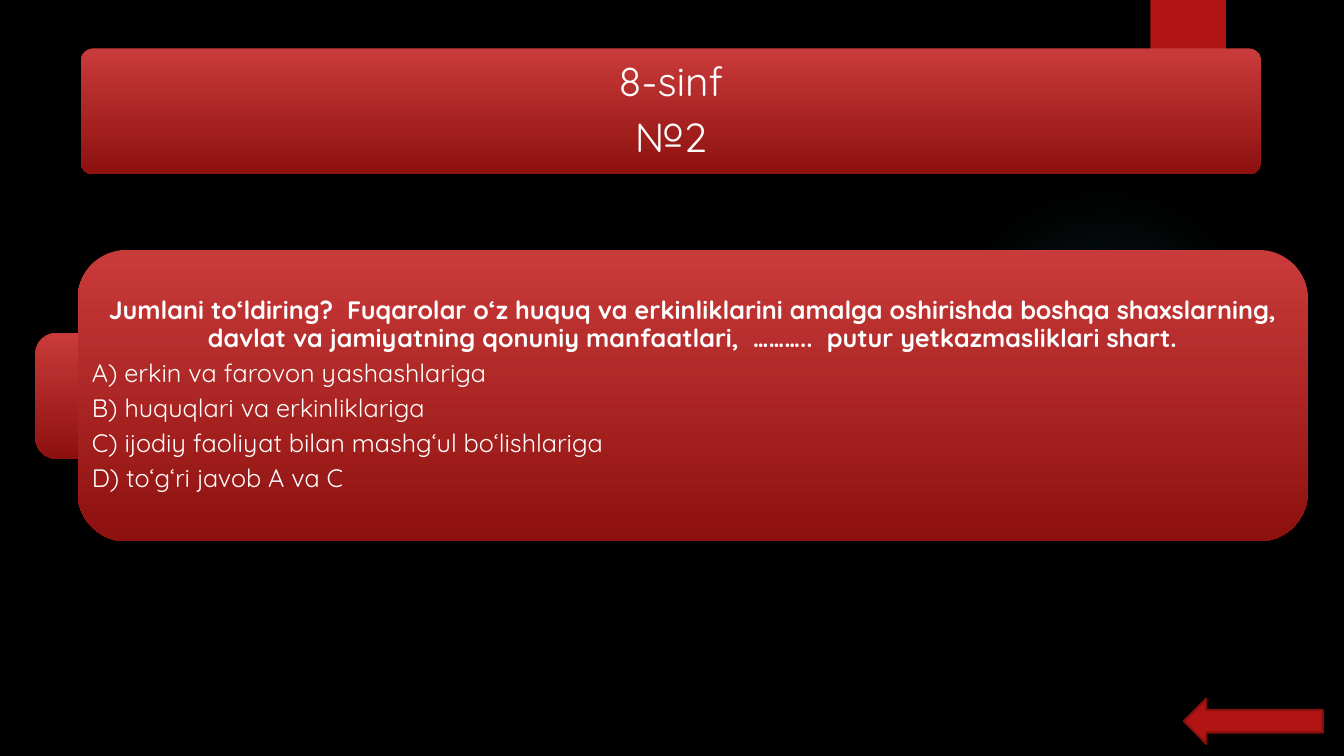
from lxml import etree
from pptx import Presentation
from pptx.dml.color import RGBColor
from pptx.enum.shapes import MSO_SHAPE
from pptx.enum.text import MSO_ANCHOR, PP_ALIGN
from pptx.oxml import parse_xml
from pptx.oxml.ns import nsdecls, qn
from pptx.util import Inches, Pt

ROUNDED, RECT = MSO_SHAPE.ROUNDED_RECTANGLE, MSO_SHAPE.RECTANGLE
OVAL, LEFT_ARROW = MSO_SHAPE.OVAL, MSO_SHAPE.LEFT_ARROW
MIDDLE = MSO_ANCHOR.MIDDLE
LEFT, CENTER = PP_ALIGN.LEFT, PP_ALIGN.CENTER

FONT = "Quicksand"
COLORS = {
    "background": "000000",
    "accent": "B01513",
    "accent_edge": "82100E",
    "panel_top": "C93B3A",
    "panel_bottom": "8D110F",
    "glow": "50B9C1",
    "shadow": "000000",
    "text": "FFFFFF",
}
GLOW_STOPS = [(0, 7), (36, 6), (69, 0)]

TITLE = ["8-sinf", "№2"]
QUESTION = (
    "Jumlani to‘ldiring?  Fuqarolar o‘z huquq va erkinliklarini amalga "
    "oshirishda boshqa shaxslarning, davlat va jamiyatning qonuniy "
    "manfaatlari,  ………..  putur yetkazmasliklari shart."
)
ANSWERS = [
    "A) erkin va farovon yashashlariga",
    "B) huquqlari va erkinliklariga",
    "C) ijodiy faoliyat bilan mashg‘ul bo‘lishlariga",
    "D) to‘g‘ri javob A va C",
]


def color(name):
    return RGBColor.from_string(COLORS[name])


def add_plain(slide, kind, box):
    shape = slide.shapes.add_shape(kind, *(Inches(length) for length in box))
    shape.shadow.inherit = False
    shape.line.fill.background()
    return shape


def add_solid(slide, kind, box):
    shape = add_plain(slide, kind, box)
    shape.fill.solid()
    shape.fill.fore_color.rgb = color("accent")
    return shape


def add_shadow(shape):
    effects = shape.element.spPr.find(qn("a:effectLst"))
    outer = etree.SubElement(effects, qn("a:outerShdw"), blurRad=str(Pt(3)),
                             dist=str(Pt(2)), dir="5400000", rotWithShape="0")
    tone = etree.SubElement(outer, qn("a:srgbClr"), val=COLORS["shadow"])
    etree.SubElement(tone, qn("a:alpha"), val="45000")


def add_panel(slide, box, rounding):
    panel = add_plain(slide, ROUNDED, box)
    panel.adjustments[0] = rounding
    panel.fill.gradient()
    panel.fill.gradient_angle = 270
    for stop, name in zip(panel.fill.gradient_stops, ("panel_top", "panel_bottom")):
        stop.color.rgb = color(name)
        stop.position = 0 if name == "panel_top" else 1
    return panel


def write_lines(panel, lines, size, gap, side_margin):
    frame = panel.text_frame
    frame.word_wrap = True
    frame.vertical_anchor = MIDDLE
    frame.margin_left = frame.margin_right = Inches(side_margin)
    frame.margin_top = frame.margin_bottom = 0
    for index, (text, align, bold) in enumerate(lines):
        line = frame.add_paragraph() if index else frame.paragraphs[0]
        line.text = text
        line.alignment = align
        line.line_spacing = 0.9
        line.space_after = Pt(gap)
        line.font.name = FONT
        line.font.size = Pt(size)
        line.font.bold = bold
        line.font.color.rgb = color("text")


def add_backdrop(slide, width):
    slide.background.fill.solid()
    slide.background.fill.fore_color.rgb = color("background")
    glow = add_plain(slide, OVAL, (width - 3.92, 1.83, 3.08, 3.08))
    glow.fill.background()
    stops = "".join(
        f'<a:gs pos="{position * 1000}"><a:srgbClr val="{COLORS["glow"]}">'
        f'<a:alpha val="{alpha * 1000}"/></a:srgbClr></a:gs>'
        for position, alpha in GLOW_STOPS
    )
    gradient = parse_xml(
        f'<a:gradFill {nsdecls("a")}><a:gsLst>{stops}</a:gsLst><a:path path="circle">'
        '<a:fillToRect l="50000" t="50000" r="50000" b="50000"/></a:path></a:gradFill>'
    )
    properties = glow.element.spPr
    properties.replace(properties.find(qn("a:noFill")), gradient)
    add_shadow(add_solid(slide, RECT, (width - 1.92, 0, 0.75, 1.25)))


def add_back_arrow(slide, box):
    arrow = add_solid(slide, LEFT_ARROW, box)
    arrow.line.color.rgb = color("accent_edge")
    arrow.line.width = Pt(1.5)


def add_title(slide, box):
    banner = add_panel(slide, box, 0.1)
    add_shadow(banner)
    write_lines(banner, [(text, CENTER, False) for text in TITLE], 29, 9, 0.02)


def add_question(slide, box):
    left, top, width, height = box
    tab = 1.25
    add_shadow(add_panel(slide, (left - 0.42, top + (height - tab) / 2, tab, tab), 0.167))
    card = add_panel(slide, box, 0.167)
    lines = [(QUESTION, CENTER, True)] + [(answer, LEFT, False) for answer in ANSWERS]
    write_lines(card, lines, 18, 5.7, 0)


def main():
    deck = Presentation()
    width, height = 13.33, 7.5
    deck.slide_width, deck.slide_height = Inches(width), Inches(height)
    slide = deck.slides.add_slide(deck.slide_layouts[6])
    add_backdrop(slide, width)
    add_back_arrow(slide, (width - 1.59, height - 0.57, 1.38, 0.45))
    add_title(slide, (0.8, 0.48, 11.71, 1.25))
    add_question(slide, (0.77, 2.48, 12.2, 2.89))
    deck.save("out.pptx")


if __name__ == "__main__":
    main()
